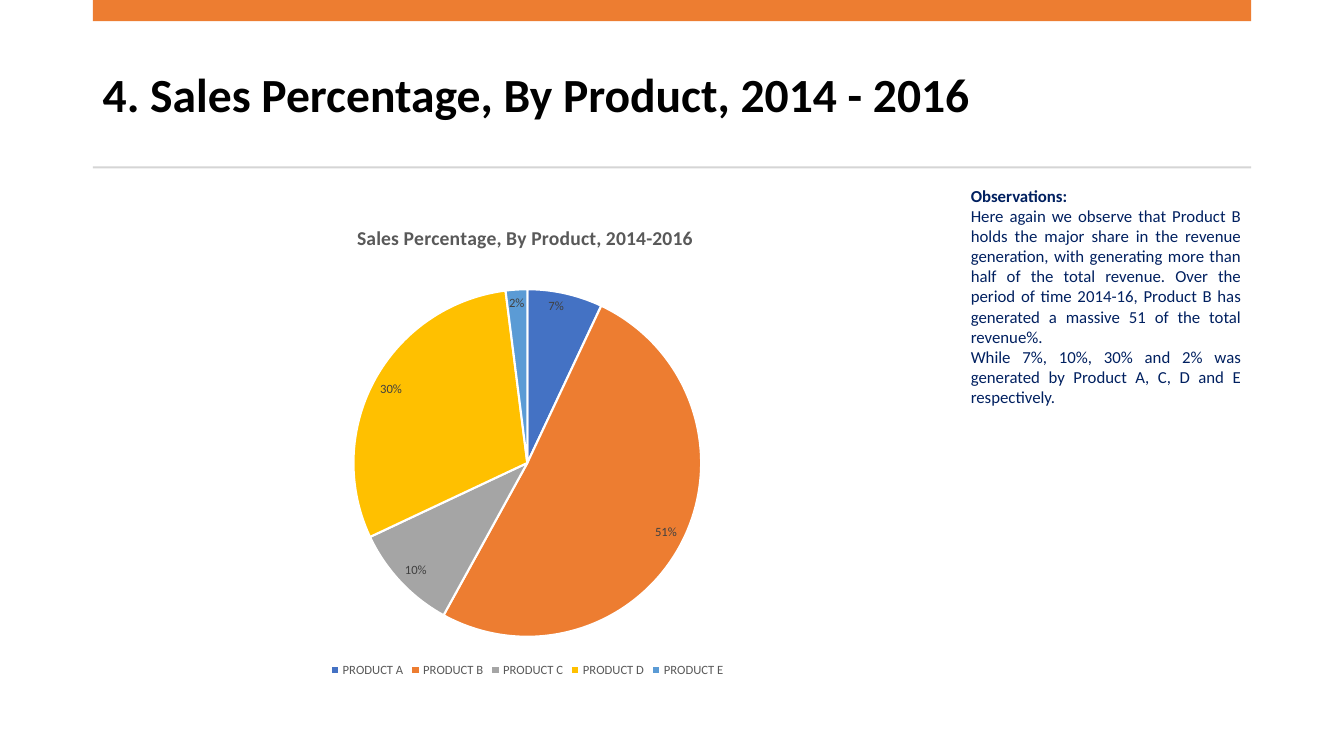
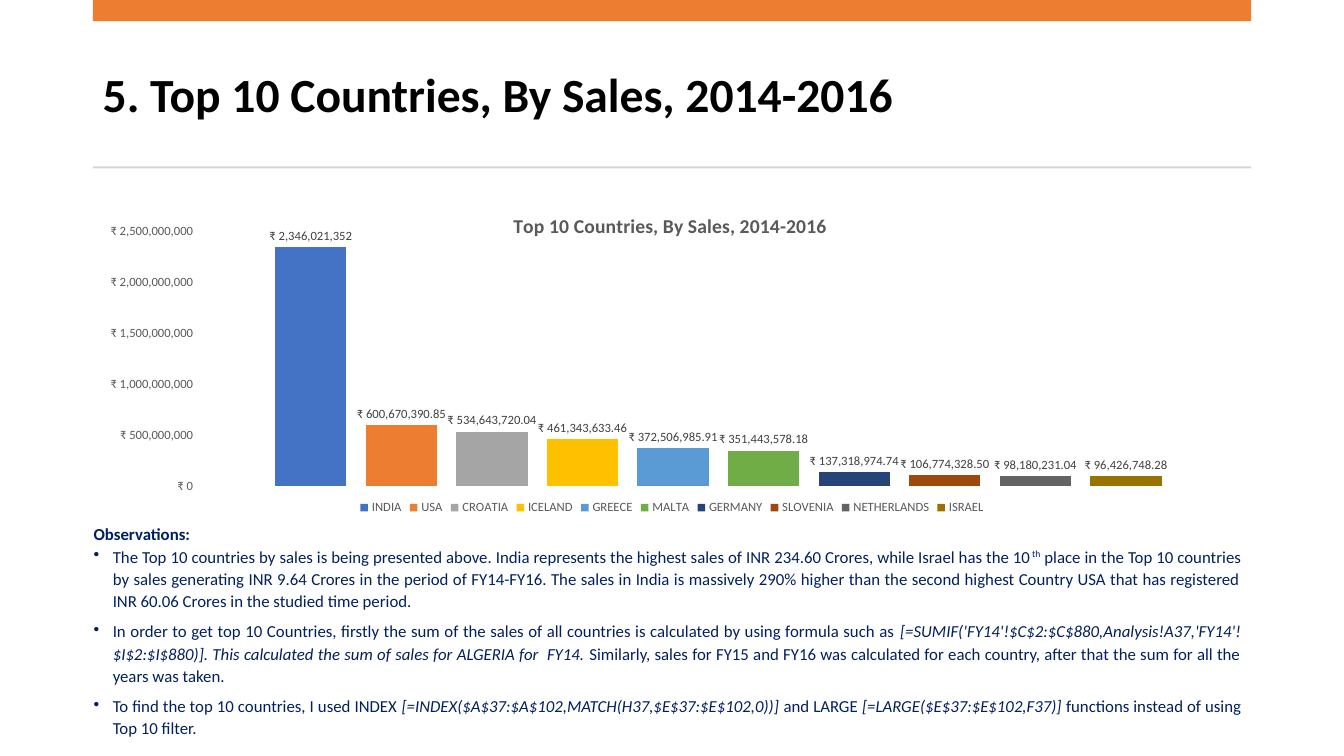
from pptx import Presentation
from pptx.chart.data import CategoryChartData
from pptx.dml.color import RGBColor
from pptx.enum.chart import XL_CHART_TYPE, XL_LABEL_POSITION, XL_LEGEND_POSITION, XL_TICK_MARK
from pptx.enum.shapes import MSO_SHAPE
from pptx.enum.text import MSO_ANCHOR, MSO_AUTO_SIZE, PP_ALIGN
from pptx.oxml import parse_xml
from pptx.oxml.ns import nsdecls, qn
from pptx.util import Inches, Pt

PIE = XL_CHART_TYPE.PIE
COLUMNS = XL_CHART_TYPE.COLUMN_CLUSTERED
INSIDE_END = XL_LABEL_POSITION.INSIDE_END
OUTSIDE_END = XL_LABEL_POSITION.OUTSIDE_END
LEGEND_BOTTOM = XL_LEGEND_POSITION.BOTTOM
NO_TICKS = XL_TICK_MARK.NONE
RECTANGLE = MSO_SHAPE.RECTANGLE
MIDDLE = MSO_ANCHOR.MIDDLE
TOP = MSO_ANCHOR.TOP
GROW = MSO_AUTO_SIZE.SHAPE_TO_FIT_TEXT
LEFT = PP_ALIGN.LEFT
JUSTIFY = PP_ALIGN.JUSTIFY

FONT = "Calibri"
COLORS = {
    "title": "000000", "band": "ED7D31", "rule": "D5D5D5", "text": "002060",
    "chart_text": "595959", "label": "404040", "white": "FFFFFF",
}
SERIES_COLORS = [
    "4472C4", "ED7D31", "A5A5A5", "FFC000", "5B9BD5",
    "70AD47", "264478", "9E480E", "636363", "997300",
]
MARGIN, CONTENT_WIDTH = 0.92, 11.49
RUPEES = '"₹"\\ #,##0'

PRODUCT_SHARES = {"PRODUCT A": 7, "PRODUCT B": 51, "PRODUCT C": 10, "PRODUCT D": 30, "PRODUCT E": 2}
COUNTRY_SALES = {
    "INDIA": 2346021352, "USA": 600670390.85, "CROATIA": 534643720.04,
    "ICELAND": 461343633.46, "GREECE": 372506985.91, "MALTA": 351443578.18,
    "GERMANY": 137318974.74, "SLOVENIA": 106774328.5,
    "NETHERLANDS": 98180231.04, "ISRAEL": 96426748.28,
}
ITALIC = {"italic": True}
PRODUCT_NOTES = [
    ["Here again we observe that Product B holds the major share in the revenue generation, "
     "with generating more than half of the total revenue. Over the period of time 2014-16, "
     "Product B has generated a massive 51 of the total revenue%."],
    ["While 7%, 10%, 30% and 2% was generated by Product A, C, D and E respectively."],
]
COUNTRY_NOTES = [
    ["The Top 10 countries by sales is being presented above. India represents the highest sales "
     "of INR 234.60 Crores, while Israel has the 10",
     ("th", {"raised": True}),
     " place in the Top 10 countries by sales generating INR 9.64 Crores in the period of FY14-FY16. "
     "The sales in India is massively 290% higher than the second highest Country USA that has "
     "registered INR 60.06 Crores in the studied time period."],
    ["In order to get top 10 Countries, firstly the sum of the sales of all countries is calculated "
     "by using formula such as ",
     ("[=SUMIF('FY14'!$C$2:$C$880,Analysis!A37,'FY14'!$I$2:$I$880)]. "
      "This calculated the sum of sales for ALGERIA for  FY14. ", ITALIC),
     "Similarly, sales for FY15 and FY16 was calculated for each country, after that the sum for "
     "all the years was taken."],
    ["To find the top 10 countries, I used INDEX ",
     ("[=INDEX($A$37:$A$102,MATCH(H37,$E$37:$E$102,0))]", ITALIC),
     " and LARGE ",
     ("[=LARGE($E$37:$E$102,F37)] ", ITALIC),
     "functions instead of using Top 10 filter."],
]


def rgb(value):
    return RGBColor.from_string(value)


def style_font(font, size, color, bold=False, italic=False):
    font.name = FONT
    font.size = Pt(size)
    font.bold = bold
    font.italic = italic
    font.color.rgb = rgb(color)


def add_bullet(para):
    properties = para._p.get_or_add_pPr()
    properties.set("marL", str(Inches(0.19)))
    properties.set("indent", str(-Inches(0.19)))
    properties.append(parse_xml(f'<a:buChar {nsdecls("a")} char="•"/>'))


def write_para(para, spans, size, color, bold=False, align=LEFT, spacing=1.0, after=0, bullet=False):
    para.alignment = align
    para.line_spacing = spacing
    para.space_after = Pt(after)
    if bullet:
        add_bullet(para)
    for item in spans:
        text, extra = (item, {}) if isinstance(item, str) else item
        span = para.add_run()
        span.text = text
        style_font(span.font, size, color, bold, extra.get("italic", False))
        if extra.get("raised"):
            span._r.get_or_add_rPr().set("baseline", "30000")


def add_text_box(page, box, anchor=TOP):
    frame = page.shapes.add_textbox(*map(Inches, box)).text_frame
    frame.word_wrap = True
    frame.vertical_anchor = anchor
    return frame


def add_bar(page, box, color):
    bar = page.shapes.add_shape(RECTANGLE, *map(Inches, box))
    bar.shadow.inherit = False
    bar.fill.solid()
    bar.fill.fore_color.rgb = rgb(color)
    bar.line.fill.background()


def add_page(deck, title):
    page = deck.slides.add_slide(deck.slide_layouts[6])
    add_bar(page, (MARGIN, 0, CONTENT_WIDTH, 0.21), COLORS["band"])
    add_bar(page, (MARGIN, 1.65, CONTENT_WIDTH, 0.02), COLORS["rule"])
    frame = add_text_box(page, (MARGIN, 0.37, CONTENT_WIDTH, 1.18), MIDDLE)
    write_para(frame.paragraphs[0], [title], 34, COLORS["title"], bold=True, spacing=0.9)
    return page


def add_observations(page, box, notes, **note_format):
    frame = add_text_box(page, box)
    frame.auto_size = GROW
    write_para(frame.paragraphs[0], ["Observations:"], 12, COLORS["text"], bold=True, align=JUSTIFY)
    for spans in notes:
        write_para(frame.add_paragraph(), spans, 12, COLORS["text"], align=JUSTIFY, **note_format)


def set_layout(element, index, inner=False, **places):
    for old in element.findall(qn("c:layout")):
        element.remove(old)
    target = '<c:layoutTarget val="inner"/>' if inner else ""
    modes = "".join(f'<c:{name}Mode val="edge"/>' for name in places if name in "xy")
    values = "".join(f'<c:{name} val="{value}"/>' for name, value in places.items())
    element.insert(index, parse_xml(
        f'<c:layout {nsdecls("c")}><c:manualLayout>{target}{modes}{values}</c:manualLayout></c:layout>'))


def add_chart(page, box, kind, data, title, title_place, plot_place):
    chart = page.shapes.add_chart(kind, *map(Inches, box), data).chart
    style_font(chart.font, 10, COLORS["title"])
    chart.has_title = True
    write_para(chart.chart_title.text_frame.paragraphs[0], [title], 14, COLORS["chart_text"], bold=True)
    chart.chart_title.include_in_layout = False
    set_layout(chart.element.find(".//" + qn("c:title")), 1, **title_place)
    set_layout(chart.element.find(".//" + qn("c:plotArea")), 0, inner=True, **plot_place)
    chart.has_legend = True
    chart.legend.position = LEGEND_BOTTOM
    chart.legend.include_in_layout = False
    style_font(chart.legend.font, 9, COLORS["chart_text"])
    return chart


def format_labels(labels, number_format, position):
    labels.number_format = number_format
    labels.number_format_is_linked = False
    labels.position = position
    style_font(labels.font, 9, COLORS["label"])


def add_share_pie(page, box):
    data = CategoryChartData()
    data.categories = list(PRODUCT_SHARES)
    data.add_series("Series 1", list(PRODUCT_SHARES.values()))
    chart = add_chart(page, box, PIE, data, "Sales Percentage, By Product, 2014-2016",
                      {"x": 0.3, "y": 0.04}, {"x": 0.3, "y": 0.18, "w": 0.4, "h": 0.73})
    plot = chart.plots[0]
    plot.vary_by_categories = True
    for index, color in enumerate(SERIES_COLORS[:len(PRODUCT_SHARES)]):
        slice_format = plot.series[0].points[index].format
        slice_format.fill.solid()
        slice_format.fill.fore_color.rgb = rgb(color)
        slice_format.line.color.rgb = rgb(COLORS["white"])
        slice_format.line.width = Pt(1.5)
    labels = plot.series[0].data_labels
    labels.show_percentage = True
    labels.show_value = False
    format_labels(labels, "0%", INSIDE_END)


def add_country_columns(page, box):
    data = CategoryChartData()
    data.categories = ["1"]
    for country, sales in COUNTRY_SALES.items():
        data.add_series(country, [sales])
    chart = add_chart(page, box, COLUMNS, data, "Top 10 Countries, By Sales, 2014-2016",
                      {"x": 0.36, "y": 0.05}, {"x": 0.09, "y": 0.12, "w": 0.9, "h": 0.78})
    chart.category_axis.visible = False
    axis = chart.value_axis
    axis.minimum_scale, axis.maximum_scale, axis.major_unit = 0, 2.5e9, 5e8
    axis.has_major_gridlines = False
    axis.major_tick_mark = NO_TICKS
    axis.format.line.fill.background()
    axis.tick_labels.number_format = RUPEES
    axis.tick_labels.number_format_is_linked = False
    style_font(axis.tick_labels.font, 9, COLORS["chart_text"])
    plot = chart.plots[0]
    plot.gap_width = 219
    plot.overlap = -27
    plot.vary_by_categories = False
    for series, color in zip(plot.series, SERIES_COLORS):
        series.format.fill.solid()
        series.format.fill.fore_color.rgb = rgb(color)
        series.data_labels.show_value = True
        number_format = RUPEES if series.name == "INDIA" else RUPEES + ".00"
        format_labels(series.data_labels, number_format, OUTSIDE_END)


def main():
    deck = Presentation()
    deck.slide_width = Inches(13.33)
    deck.slide_height = Inches(7.5)

    page = add_page(deck, "4. Sales Percentage, By Product, 2014 - 2016")
    add_observations(page, (9.53, 1.79, 2.88, 2.32), PRODUCT_NOTES)
    add_share_pie(page, (MARGIN, 2, 8.62, 4.76))

    page = add_page(deck, "5. Top 10 Countries, By Sales, 2014-2016")
    add_observations(page, (0.83, 5.15, 11.58, 2.31), COUNTRY_NOTES, spacing=1.1, after=6, bullet=True)
    add_country_columns(page, (MARGIN, 1.91, CONTENT_WIDTH, 3.24))

    deck.save("out.pptx")


if __name__ == "__main__":
    main()
